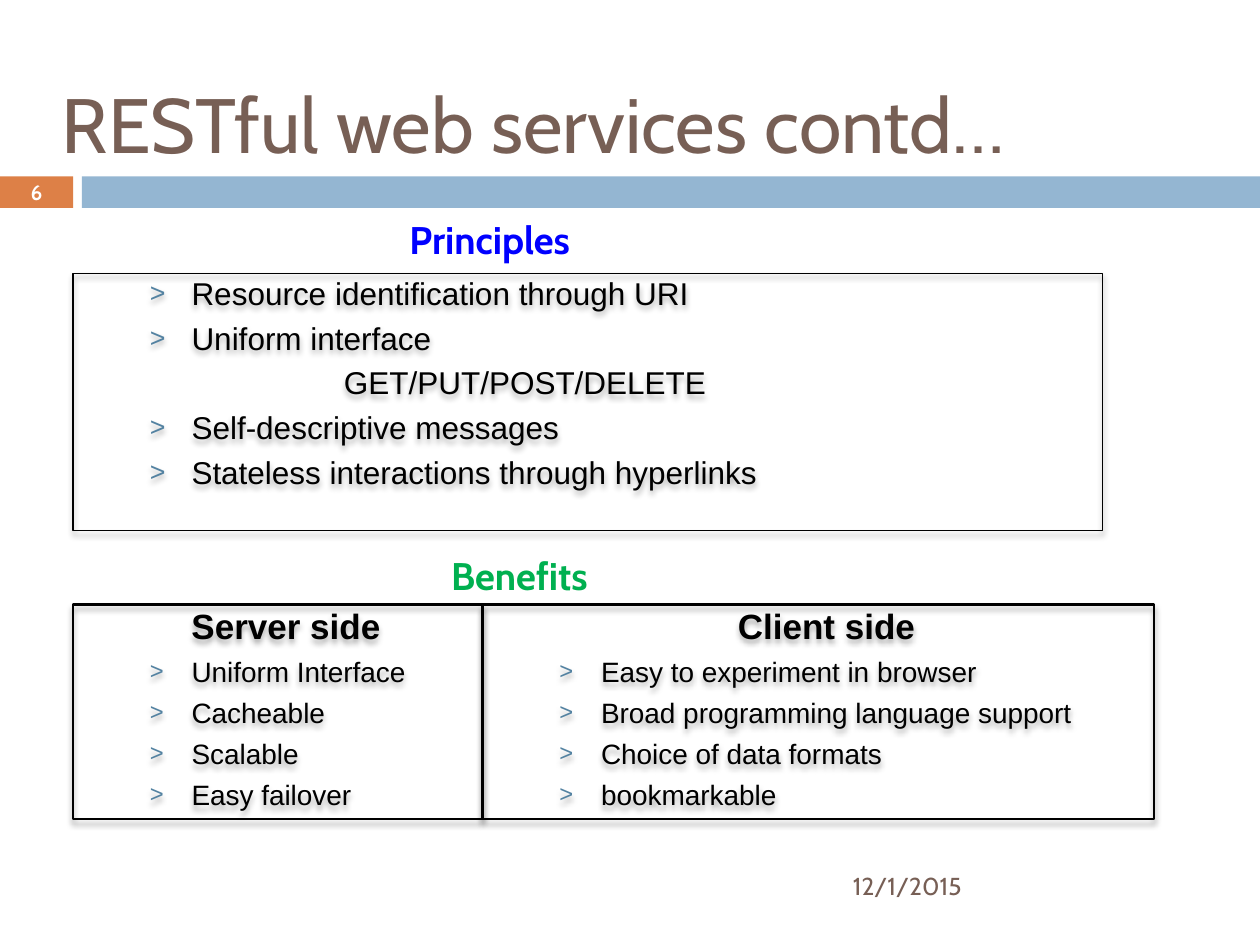
from dataclasses import dataclass

from lxml import etree
from pptx import Presentation, util as u
from pptx.dml.color import RGBColor
from pptx.enum import shapes, text
from pptx.oxml import ns

I, Pt = u.Inches, u.Pt
LEFT, CENTER = text.PP_ALIGN.LEFT, text.PP_ALIGN.CENTER
TOP, MIDDLE, BOTTOM = (text.MSO_ANCHOR.TOP, text.MSO_ANCHOR.MIDDLE,
                       text.MSO_ANCHOR.BOTTOM)


@dataclass(frozen=True)
class Theme:
    head_font: str = "Cabin"
    body_font: str = "Arial"
    brown: str = "775F55"
    orange: str = "DD8047"
    bar: str = "94B6D2"
    bullet: str = "5382A1"
    blue: str = "0000FF"
    green: str = "00B050"
    black: str = "000000"
    white: str = "FFFFFF"
    title: float = 44
    heading: float = 22
    side: float = 20
    principle: float = 18
    benefit: float = 16
    date: float = 14
    number: float = 12


@dataclass(frozen=True)
class Box:
    left: float
    top: float
    width: float
    height: float

    def lengths(self) -> tuple:
        return I(self.left), I(self.top), I(self.width), I(self.height)


@dataclass(frozen=True)
class Label:
    words: str
    box: Box
    size: float
    color: str
    bold: bool = False
    align: text.PP_ALIGN = LEFT
    anchor: text.MSO_ANCHOR = MIDDLE
    inset: float = 0.1


@dataclass(frozen=True)
class Panel:
    holder: int
    box: Box
    line: float
    size: float
    items: tuple
    heading: str = ""
    plain: tuple = ()  # items without a bullet, set further in


T = Theme()


def add_xml(parent, tag: str, **attrs):
    return etree.SubElement(parent, ns.qn(tag), attrs)


def style(p, size: float, color: str, font: str, bold: bool = False) -> None:
    for r in p.runs:
        r.font.name, r.font.size, r.font.bold = font, Pt(size), bold
        r.font.color.rgb = RGBColor.from_string(color)


def place(sp, box: Box) -> None:
    sp.left, sp.top, sp.width, sp.height = box.lengths()


def write_label(sp, label: Label) -> None:
    tf = sp.text_frame
    tf.word_wrap, tf.auto_size = True, text.MSO_AUTO_SIZE.NONE
    tf.vertical_anchor = label.anchor
    tf.margin_left = tf.margin_right = I(label.inset)
    tf.margin_top = tf.margin_bottom = I(label.inset / 2)
    tf.text = label.words
    p = tf.paragraphs[0]
    p.alignment = label.align
    style(p, label.size, label.color, T.head_font, label.bold)


def add_bar(s, box: Box, color: str) -> None:
    sp = s.shapes.add_shape(shapes.MSO_SHAPE.RECTANGLE, *box.lengths())
    sp.shadow.inherit = False
    sp.fill.solid()
    sp.fill.fore_color.rgb = RGBColor.from_string(color)
    sp.line.fill.background()


def add_shadow(sp) -> None:
    sp.shadow.inherit = False
    effects = sp._element.spPr.find(ns.qn("a:effectLst"))
    shadow = add_xml(effects, "a:outerShdw", blurRad=str(Pt(3.5)),
                     dist=str(Pt(2.2)), dir="5400000", rotWithShape="0")
    color = add_xml(shadow, "a:srgbClr", val=T.black)
    add_xml(color, "a:alpha", val="32000")


def set_indent(p, margin: float, first: float, before: float,
               bullet: bool) -> None:
    p.line_spacing, p.space_before, p.space_after = 0.85, Pt(before), Pt(0)
    pPr = p._p.get_or_add_pPr()
    pPr.set("marL", str(I(margin)))
    pPr.set("indent", str(I(first)))
    if not bullet:
        add_xml(pPr, "a:buNone")
        return
    add_xml(add_xml(pPr, "a:buClr"), "a:srgbClr", val=T.bullet)
    add_xml(pPr, "a:buSzPct", val="85000")
    add_xml(pPr, "a:buFont", typeface=T.body_font)
    add_xml(pPr, "a:buChar", char=">")


def fill_panel(s, panel: Panel) -> None:
    sp = s.placeholders[panel.holder]
    place(sp, panel.box)
    sp.fill.background()
    sp.line.color.rgb = RGBColor.from_string(T.black)
    sp.line.width = Pt(panel.line)
    add_shadow(sp)
    tf = sp.text_frame
    tf.word_wrap, tf.auto_size = True, text.MSO_AUTO_SIZE.NONE
    tf.vertical_anchor = TOP
    heading = (panel.heading,) if panel.heading else ()
    tf.text = "\n".join(heading + panel.items)
    for p in tf.paragraphs:
        if p.text == panel.heading:
            p.alignment = CENTER
            set_indent(p, 0.45, -0.32, 6, False)
            style(p, T.side, T.black, T.body_font, True)
            continue
        p.level, p.alignment = 1, LEFT
        bullet = p.text not in panel.plain
        set_indent(p, *((0.84, -0.33) if bullet else (2.05, 0)), 7.2, bullet)
        style(p, panel.size, T.black, T.body_font)


TITLE = Label("RESTful web services contd…", Box(0.39, 0.31, 9.13, 1.33),
              T.title, T.brown)
LABELS = (
    Label("12/1/2015", Box(6.67, 6.83, 2.92, 0.4), T.date, T.brown),
    Label("6", Box(0, 1.39, 0.58, 0.27), T.number, T.white, True, CENTER),
    Label("Principles", Box(3.25, 1.58, 2.33, 0.5), T.heading, T.blue, True,
          anchor=BOTTOM, inset=0),
    Label("Benefits", Box(3.58, 4.25, 1.42, 0.5), T.heading, T.green, True,
          anchor=BOTTOM, inset=0),
)
VERBS = "GET/PUT/POST/DELETE"
PANELS = (
    Panel(1, Box(0.58, 2.17, 8.17, 2.04), 1, T.principle,
          ("Resource identification through URI", "Uniform interface", VERBS,
           "Self-descriptive messages",
           "Stateless interactions through hyperlinks"), plain=(VERBS,)),
    Panel(2, Box(0.58, 4.8, 3.25, 1.7), 1.5, T.benefit,
          ("Uniform Interface", "Cacheable", "Scalable", "Easy failover"),
          "Server side"),
    Panel(4, Box(3.83, 4.8, 5.33, 1.7), 1.5, T.benefit,
          ("Easy to experiment in browser",
           "Broad programming language support",
           "Choice of data formats", "bookmarkable"), "Client side"),
)

prs = Presentation()
prs.slide_width, prs.slide_height = I(10), I(7.5)
s = prs.slides.add_slide(prs.slide_layouts.get_by_name("Comparison"))

# Header band
add_bar(s, Box(0, 1.4, 0.58, 0.25), T.orange)
add_bar(s, Box(0.65, 1.4, 9.35, 0.25), T.bar)

# Title
place(s.shapes.title, TITLE.box)
write_label(s.shapes.title, TITLE)

# Principles and benefits
for panel in PANELS:
    fill_panel(s, panel)
spare = s.placeholders[3]._element
spare.getparent().remove(spare)

# Headings, date and slide number
for label in LABELS:
    write_label(s.shapes.add_textbox(*label.box.lengths()), label)

prs.save("out.pptx")
